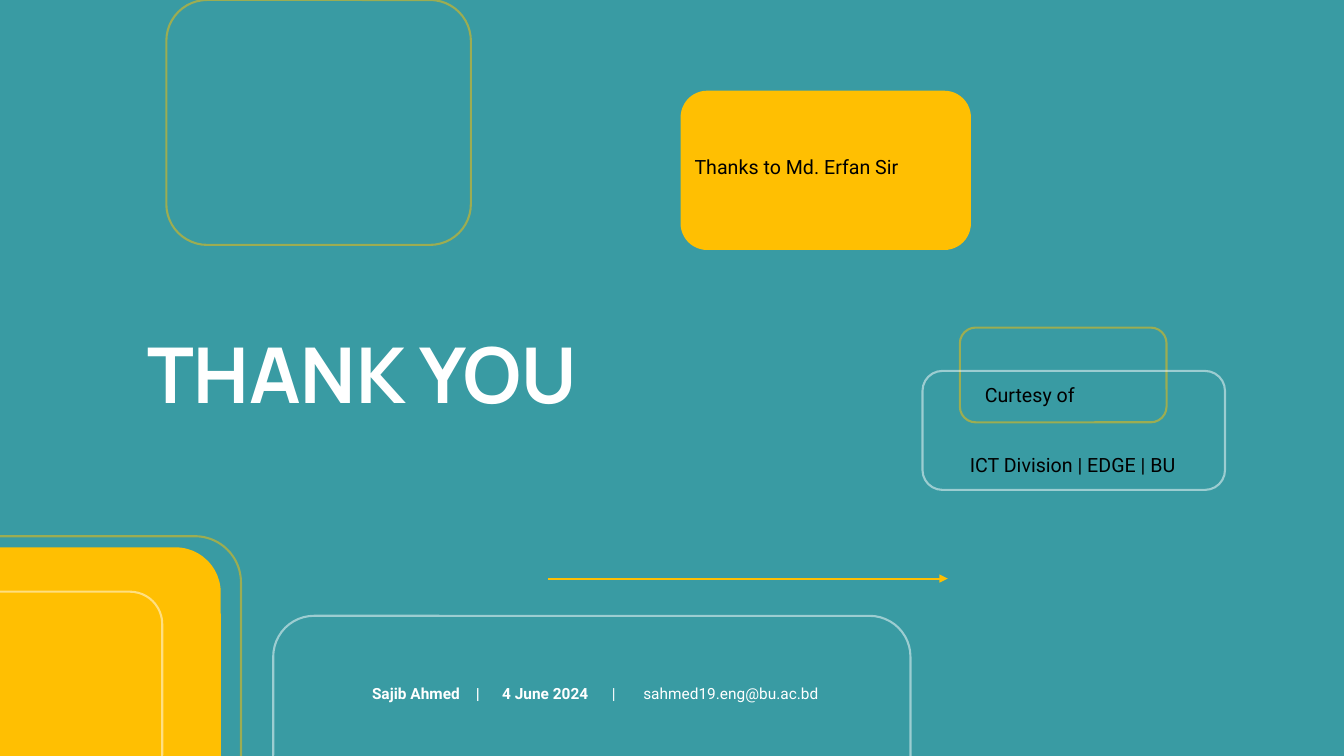
from lxml import etree
from pptx import Presentation
from pptx.dml.color import RGBColor
from pptx.enum import shapes, text
from pptx.oxml import ns
from pptx.util import Inches, Pt

COLORS = {"teal": "399BA3", "yellow": "FFBF02", "white": "FFFFFF", "black": "000000"}
SIZE = (13.33, 7.5)
LINE_WIDTH = 1.5
INSET = 0.1

TITLE = ("THANK YOU", (1.36, 2.87, 7.4, 1.4))

# colour, outlined or filled, (left, top, width, height)
BACK_PANELS = [
    ("yellow", "outline", (1.65, 0, 3.02, 2.43)),
    ("yellow", "outline", (-0.86, 5.32, 3.25, 2.74)),
    ("white", "outline", (2.71, 6.11, 6.32, 2.43)),
    ("yellow", "outline", (9.52, 3.25, 2.05, 0.94)),
    ("white", "outline", (9.15, 3.68, 3, 1.18)),
    ("yellow", "fill", (6.75, 0.9, 2.88, 1.58)),
    ("yellow", "fill", (-0.69, 5.43, 2.88, 2.7)),
]
ARROW = (5.44, 9.4, 5.74)  # from x, to x, y
FRONT_PANELS = [("white", "outline", (-0.69, 5.87, 2.3, 1.93))]

CONTACT_BOX = (2.59, 6.69, 6.64, 0.53)
CONTACT_INDENT = 1.1
CONTACT_TABS = (1.03, 1.29, 2.38, 2.69)
CONTACT = [("Sajib Ahmed\t|\t4 June 2024", True), ("\t|\tsahmed19.eng@bu.ac.bd", False)]

LABELS = [
    ("ICT Division | EDGE | BU", (9.52, 4.44, 2.31, 0.34)),
    ("Curtesy of", (9.67, 3.75, 1.63, 0.34)),
    ("Thanks to Md. Erfan Sir", (6.79, 1.49, 2.88, 0.34)),
]


def rgb(name):
    return RGBColor.from_string(COLORS[name])


def box(at):
    return [Inches(v) for v in at]


def set_all(target, **values):
    for name, value in values.items():
        setattr(target, name, value)


def add_run(p, words, size, font, color, bold=False):
    r = p.add_run()
    r.text = words
    set_all(r.font, size=Pt(size), name=font, bold=bold)
    r.font.color.rgb = rgb(color)


def add_panel(s, color, style, at):
    sp = s.shapes.add_shape(shapes.MSO_SHAPE.ROUNDED_RECTANGLE, *box(at))
    sp.shadow.inherit = False
    if style == "fill":
        sp.fill.solid()
        sp.fill.fore_color.rgb = rgb(color)
        sp.line.fill.background()
        return
    sp.fill.background()
    sp.line.color.rgb = rgb(color)
    sp.line.width = Pt(LINE_WIDTH)
    clr = sp.line._ln.find(".//" + ns.qn("a:srgbClr"))
    etree.SubElement(clr, ns.qn("a:alpha"), val="50000")


def add_arrow(s, x1, x2, y):
    line = s.shapes.add_connector(shapes.MSO_CONNECTOR.STRAIGHT, *box((x1, y, x2, y)))
    line.line.color.rgb = rgb("yellow")
    line.line.width = Pt(LINE_WIDTH)
    etree.SubElement(line.line._ln, ns.qn("a:tailEnd"), type="triangle")
    etree.SubElement(line._element.spPr, ns.qn("a:effectLst"))


def add_title(s, words, at):
    sp = s.shapes.title
    set_all(sp, **dict(zip(("left", "top", "width", "height"), box(at))))
    tf = sp.text_frame
    set_all(tf, word_wrap=True, auto_size=text.MSO_AUTO_SIZE.NONE,
            vertical_anchor=text.MSO_ANCHOR.BOTTOM,
            margin_left=Inches(INSET), margin_right=Inches(INSET),
            margin_top=Inches(INSET), margin_bottom=Inches(INSET))
    p = tf.paragraphs[0]
    set_all(p, alignment=text.PP_ALIGN.LEFT, line_spacing=0.9)
    add_run(p, words, 55, "Manrope", "white", True)


def add_contact(s):
    tf = s.shapes.add_textbox(*box(CONTACT_BOX)).text_frame
    set_all(tf, word_wrap=True, margin_left=Inches(CONTACT_INDENT),
            margin_top=Inches(INSET), margin_bottom=Inches(INSET))
    p = tf.paragraphs[0]
    tabs = etree.SubElement(p._p.get_or_add_pPr(), ns.qn("a:tabLst"))
    for stop in CONTACT_TABS:
        etree.SubElement(tabs, ns.qn("a:tab"), pos=str(Inches(stop)), algn="l")
    for words, bold in CONTACT:
        add_run(p, words, 11, "Roboto", "white", bold)


def add_label(s, words, at):
    tf = s.shapes.add_textbox(*box(at)).text_frame
    set_all(tf, word_wrap=True, auto_size=text.MSO_AUTO_SIZE.SHAPE_TO_FIT_TEXT)
    add_run(tf.paragraphs[0], words, 14, "Roboto", "black")


def main():
    prs = Presentation()
    prs.slide_width, prs.slide_height = box(SIZE)
    s = prs.slides.add_slide(prs.slide_layouts.get_by_name("Title Only"))
    s.background.fill.solid()
    s.background.fill.fore_color.rgb = rgb("teal")

    add_title(s, *TITLE)
    for panel in BACK_PANELS:
        add_panel(s, *panel)
    add_arrow(s, *ARROW)
    for panel in FRONT_PANELS:
        add_panel(s, *panel)
    add_contact(s)
    for label in LABELS:
        add_label(s, *label)
    prs.save("out.pptx")


if __name__ == "__main__":
    main()
